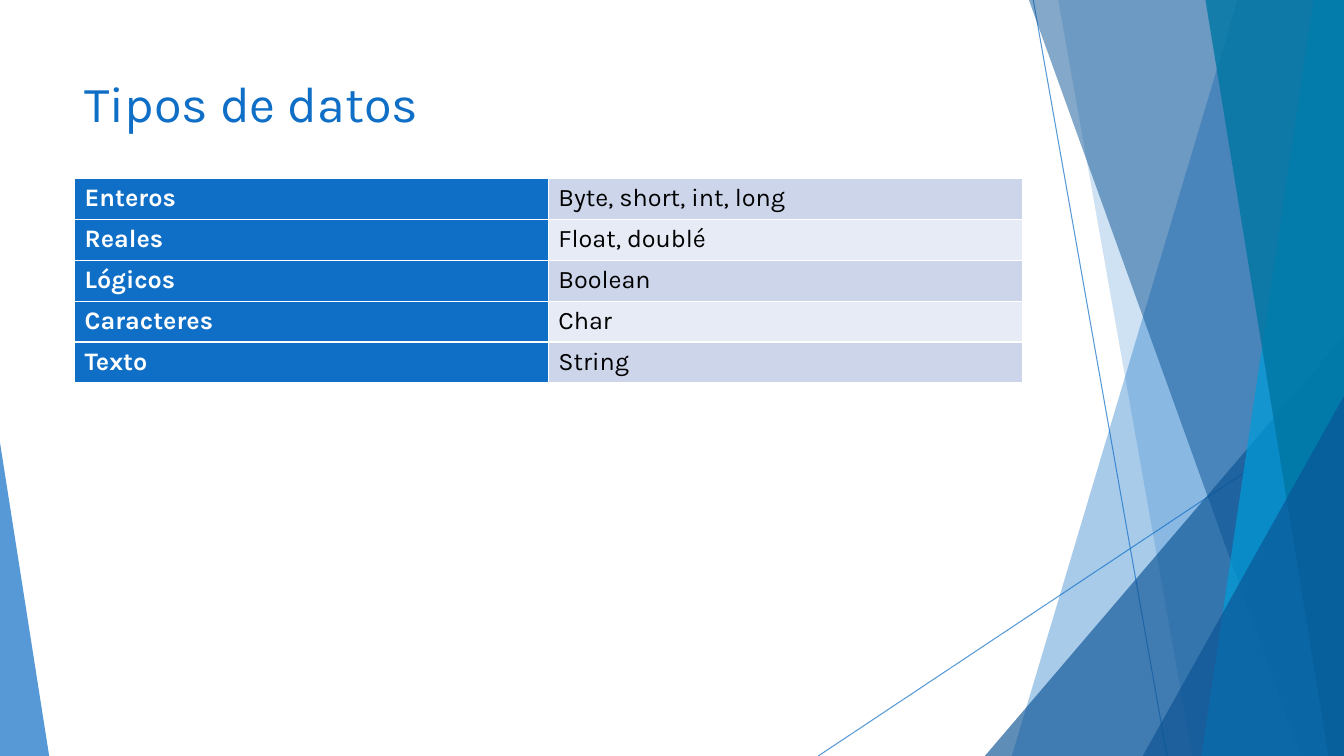
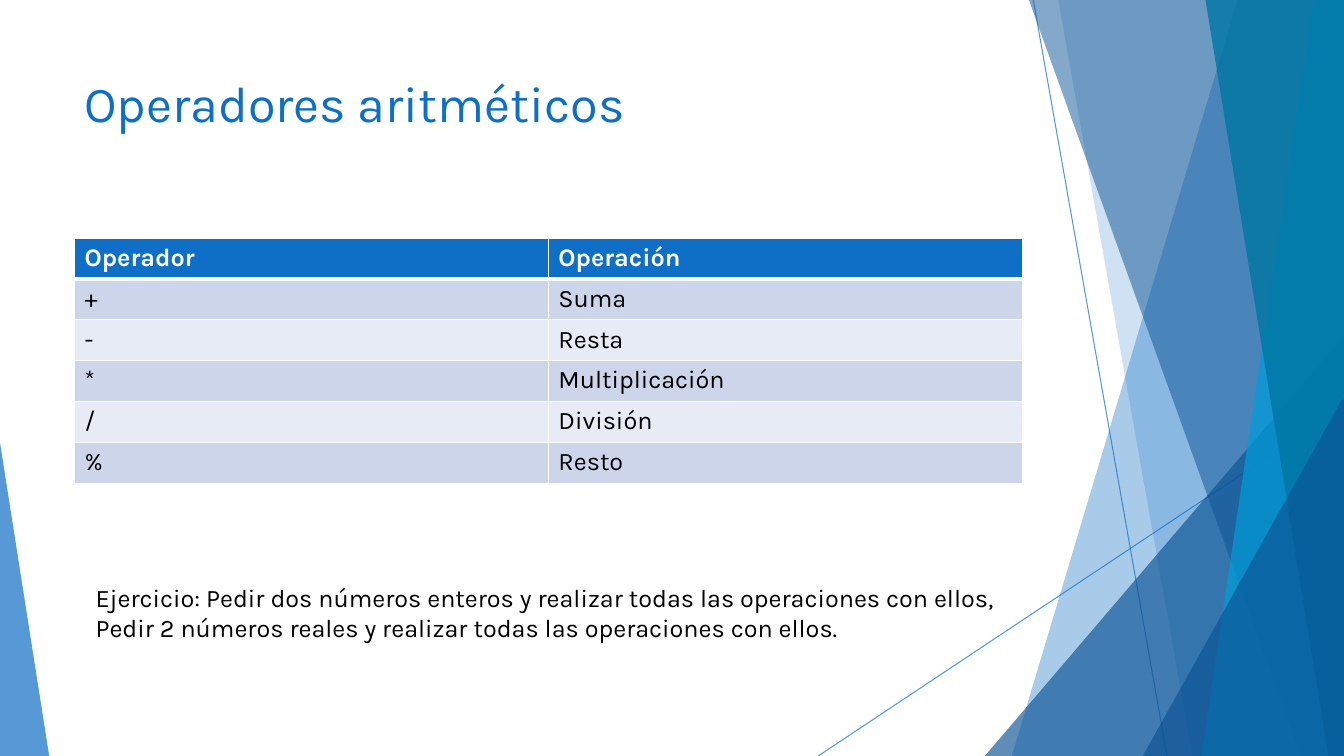
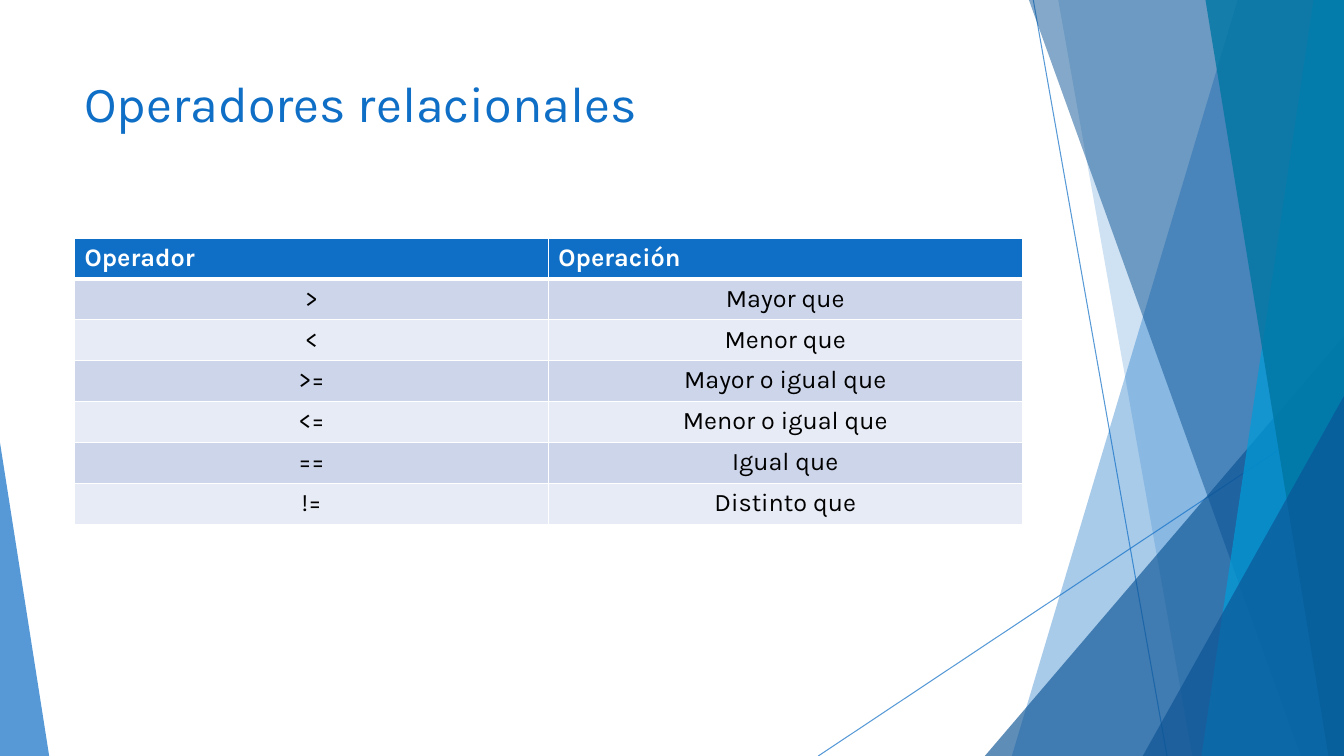
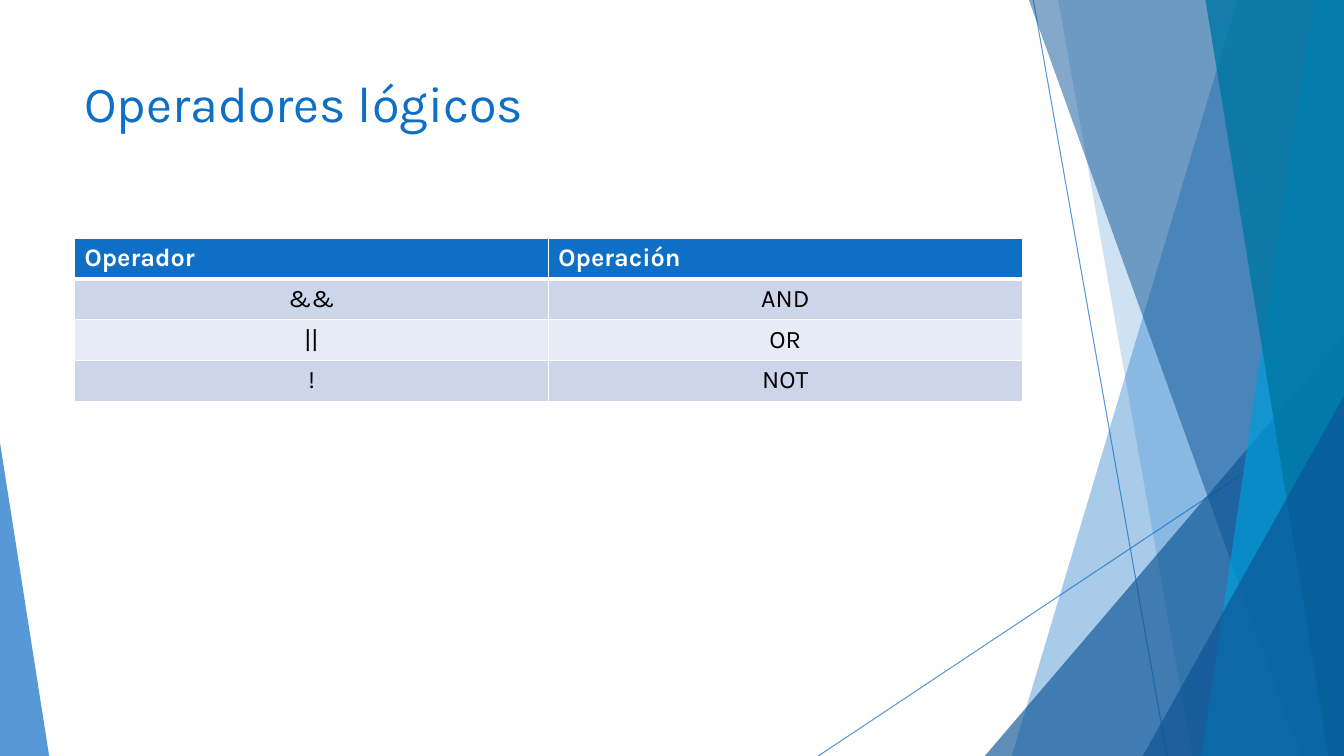
import dataclasses

import lxml.etree
import pptx
import pptx.dml.color
import pptx.enum.shapes
import pptx.enum.text
import pptx.oxml.ns
import pptx.util

Cm = pptx.util.Cm
Pt = pptx.util.Pt
qn = pptx.oxml.ns.qn
LEFT = pptx.enum.text.PP_ALIGN.LEFT
CENTER = pptx.enum.text.PP_ALIGN.CENTER


@dataclasses.dataclass(frozen=True)
class Theme:
    font: str = "Karla"
    blue: str = "0F6FC6"
    navy: str = "0B5394"
    sky: str = "009DD9"
    teal: str = "0076A3"
    white: str = "FFFFFF"
    black: str = "000000"
    bands: tuple = ("CCD5EA", "E7EBF5")
    title: int = 36
    body: int = 18
    wide: float = 33.87
    high: float = 19.05
    left: float = 1.88
    span: float = 23.88
    row: float = 1.03


def rgb(code):
    return pptx.dml.color.RGBColor.from_string(code)


def fade(shape, alpha):
    """Set the opacity, in percent, of every colour in a shape."""
    for color in shape._element.spPr.iter(qn("a:srgbClr")):
        lxml.etree.SubElement(color, qn("a:alpha"), val=str(alpha * 1000))


def write(frame, text, size, color, font, bold=False, align=LEFT):
    """Put text in a frame, one paragraph per line."""
    frame.word_wrap = True
    for i, words in enumerate(text.split("\n")):
        para = frame.paragraphs[0] if i == 0 else frame.add_paragraph()
        para.alignment = align
        run = para.add_run()
        run.text = words
        run.font.name = font
        run.font.size = Pt(size)
        run.font.bold = bold
        run.font.color.rgb = rgb(color)


def edge(cell, side, color, width):
    """Draw one cell border; call in the order L, R, T, B, before the fill."""
    line = lxml.etree.SubElement(
        cell._tc.get_or_add_tcPr(), qn("a:ln" + side), w=str(Pt(width)))
    fill = lxml.etree.SubElement(line, qn("a:solidFill"))
    lxml.etree.SubElement(fill, qn("a:srgbClr"), val=color)


class Deck:
    def __init__(self, theme):
        self.theme = theme
        self.file = pptx.Presentation()
        self.file.slide_width = Cm(theme.wide)
        self.file.slide_height = Cm(theme.high)
        self.slide = None

    def page(self, title):
        """Start a slide with the shared decoration and a title."""
        t = self.theme
        self.slide = self.file.slides.add_slide(self.file.slide_layouts[6])
        self.decor()
        self.text(title, t.left, 1.7, t.span, 3.66, size=t.title, color=t.blue)

    def decor(self):
        t = self.theme
        # Thin crossing lines
        self.line(26.04, 0, 29.41, t.high)
        self.line(t.wide, 10.24, 20.62, t.high)
        # Overlapping bands on the right
        self.band(31.19, 25.5, t.blue, 36)
        self.band(26.67, 30.05, t.blue, 20)
        self.wedge(24.82, 8.46, t.wide, t.navy, 66, tip=1)
        self.band(25.93, 32.79, t.navy, 50)
        self.band(33.1, 30.28, t.sky, 70)
        self.band(30.38, 33.48, t.teal, 80)
        self.wedge(28.8, 9.98, t.wide, t.navy, 66, tip=1)
        # Corner wedge on the left
        self.wedge(0, 11.15, 1.24, t.blue, 70, tip=0)

    def line(self, x1, y1, x2, y2):
        link = self.slide.shapes.add_connector(
            pptx.enum.shapes.MSO_CONNECTOR.STRAIGHT,
            Cm(x1), Cm(y1), Cm(x2), Cm(y2))
        link.line.color.rgb = rgb(self.theme.blue)
        link.line.width = Pt(0.75)
        fade(link, 70)
        lxml.etree.SubElement(link._element.spPr, qn("a:effectLst"))

    def paint(self, shape, color, alpha):
        shape.shadow.inherit = False
        shape.fill.solid()
        shape.fill.fore_color.rgb = rgb(color)
        shape.line.fill.background()
        fade(shape, alpha)

    def band(self, top, base, color, alpha):
        """Full-height area from a slanted left edge to the slide's right."""
        t = self.theme
        pen = self.slide.shapes.build_freeform(Cm(top), 0)
        pen.add_line_segments(
            [(Cm(x), Cm(y)) for x, y in
             ((t.wide, 0), (t.wide, t.high), (base, t.high))])
        self.paint(pen.convert_to_shape(), color, alpha)

    def wedge(self, left, top, right, color, alpha, tip):
        """Triangle standing on the bottom edge of the slide."""
        shape = self.slide.shapes.add_shape(
            pptx.enum.shapes.MSO_SHAPE.ISOSCELES_TRIANGLE,
            Cm(left), Cm(top), Cm(right - left), Cm(self.theme.high - top))
        shape.adjustments[0] = tip
        self.paint(shape, color, alpha)

    def text(self, text, x, y, w, h, size, color):
        box = self.slide.shapes.add_textbox(Cm(x), Cm(y), Cm(w), Cm(h))
        write(box.text_frame, text, size, color, self.theme.font)

    def table(self, rows, top, head=True, align=LEFT):
        """Banded table with either a header row or a header column."""
        t = self.theme
        cols = len(rows[0])
        grid = self.slide.shapes.add_table(
            len(rows), cols, Cm(t.left), Cm(top),
            Cm(t.span), Cm(t.row * len(rows))).table
        grid.first_row = head
        grid.first_col = not head
        for r, words in enumerate(rows):
            grid.rows[r].height = Cm(t.row)
            for c, word in enumerate(words):
                cell = grid.cell(r, c)
                bold = r == 0 if head else c == 0
                for side in "LRTB":
                    thick = head and (r, side) in ((0, "B"), (1, "T"))
                    edge(cell, side, t.white, 3 if thick else 1)
                cell.fill.solid()
                cell.fill.fore_color.rgb = rgb(
                    t.blue if bold else t.bands[(r - head) % 2])
                write(cell.text_frame, word, t.body,
                      t.white if bold else t.black, t.font, bold=bold,
                      align=LEFT if bold else align)


def main():
    theme = Theme()
    deck = Deck(theme)
    names = ("Operador", "Operación")

    # Data types
    deck.page("Tipos de datos")
    deck.table([
        ("Enteros", "Byte, short, int, long"),
        ("Reales", "Float, doublé"),
        ("Lógicos", "Boolean"),
        ("Caracteres", "Char"),
        ("Texto", "String"),
    ], top=4.5, head=False)

    # Arithmetic operators
    deck.page("Operadores aritméticos")
    deck.table([
        names,
        ("+", "Suma"),
        ("-", "Resta"),
        ("*", "Multiplicación"),
        ("/", "División"),
        ("%", "Resto"),
    ], top=6)
    deck.text(
        "Ejercicio: Pedir dos números enteros y realizar todas las "
        "operaciones con ellos,\n"
        "Pedir 2 números reales y realizar todas las operaciones con ellos.",
        2.16, 14.55, 23.7, 1.8, size=theme.body, color=theme.black)

    # Relational operators
    deck.page("Operadores relacionales")
    deck.table([
        names,
        (">", "Mayor que"),
        ("<", "Menor que"),
        (">=", "Mayor o igual que"),
        ("<=", "Menor o igual que"),
        ("==", "Igual que"),
        ("!=", "Distinto que"),
    ], top=6, align=CENTER)

    # Logical operators
    deck.page("Operadores lógicos")
    deck.table([
        names,
        ("&&", "AND"),
        ("||", "OR"),
        ("!", "NOT"),
    ], top=6, align=CENTER)

    deck.file.save("out.pptx")


if __name__ == "__main__":
    main()
